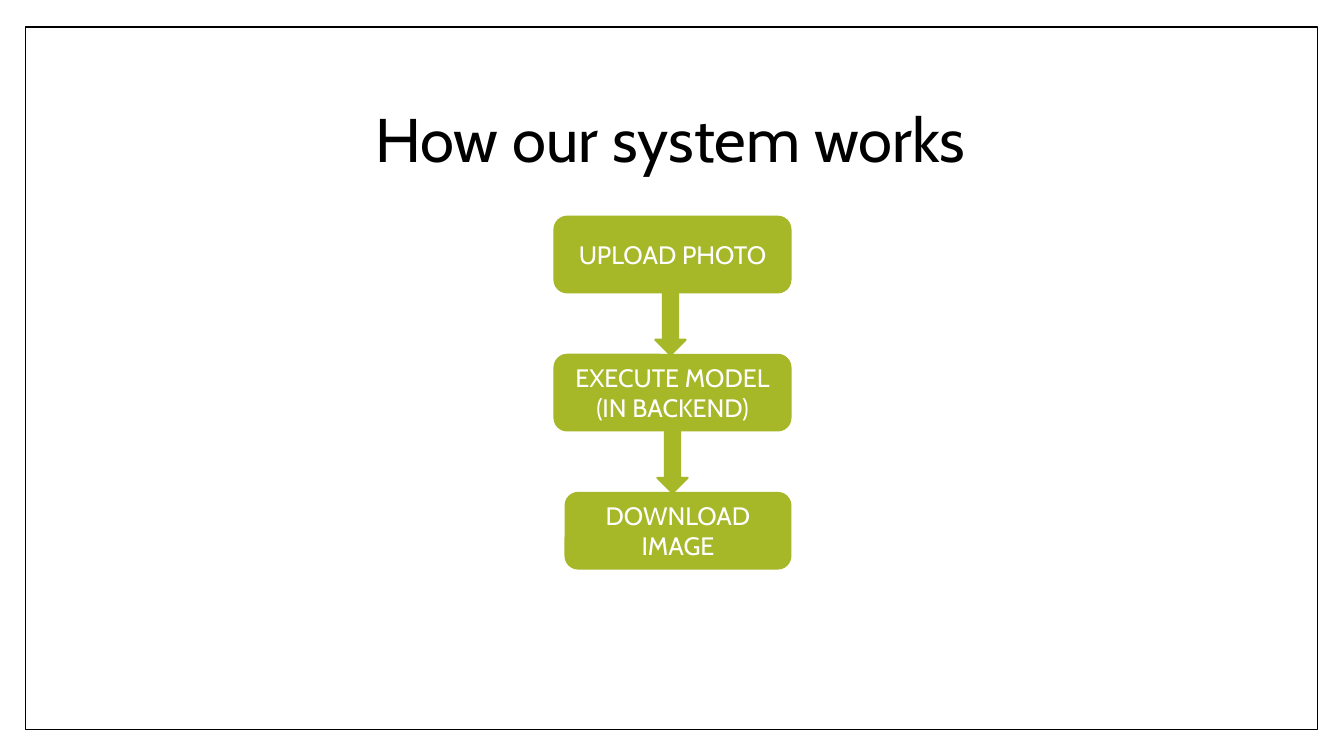
from dataclasses import dataclass

from pptx import Presentation
from pptx import util as u
from pptx.dml import color
from pptx.enum import shapes, text

COLOURS = {"paper": "FFFFFF", "ink": "000000", "step": "A6B727"}
FONT = "Cabin"
FIRST_TOP, STEP_HEIGHT, ARROW_HEIGHT = 2.15, 0.75, 0.62
ARROW_WIDTH = 0.3


@dataclass
class Step:
    left: float
    width: float
    lines: list[str]


STEPS = [
    Step(5.5, 2.34, ["UPLOAD PHOTO"]),
    Step(5.5, 2.34, ["EXECUTE MODEL", "(IN BACKEND)"]),
    Step(5.61, 2.23, ["DOWNLOAD IMAGE"]),
]
ARROW_LEFTS = [6.5, 6.52]


def rgb(name: str) -> color.RGBColor:
    return color.RGBColor.from_string(COLOURS[name])


def write(box, lines: list[str], size: float, colour: str, spacing: float = 1.0) -> None:
    """Fill a shape with centred lines, one paragraph each."""
    frame = box.text_frame
    frame_format = {
        "text": "\n".join(lines),
        "word_wrap": True,
        "auto_size": text.MSO_AUTO_SIZE.NONE,
        "vertical_anchor": text.MSO_ANCHOR.MIDDLE,
    }
    for name, value in frame_format.items():
        setattr(frame, name, value)
    for para in frame.paragraphs:
        para.alignment = text.PP_ALIGN.CENTER
        para.line_spacing = spacing
        for span in para.runs:
            for name, value in {"name": FONT, "size": u.Pt(size)}.items():
                setattr(span.font, name, value)
            span.font.color.rgb = rgb(colour)


def add_box(page, kind, left: float, top: float, width: float, height: float,
            fill: str, line: str, weight: float):
    box = page.shapes.add_shape(kind, *map(u.Inches, (left, top, width, height)))
    box.shadow.inherit = False
    box.fill.solid()
    box.fill.fore_color.rgb = rgb(fill)
    box.line.color.rgb = rgb(line)
    box.line.width = u.Pt(weight)
    return box


def main() -> None:
    deck = Presentation()
    deck.slide_width, deck.slide_height = u.Inches(13.33), u.Inches(7.5)
    page = deck.slides.add_slide(deck.slide_layouts[5])

    # Page border, placed behind the title
    border = add_box(page, shapes.MSO_SHAPE.RECTANGLE, 0.25, 0.27, 12.82, 6.97,
                     "paper", "ink", 1)
    title = page.shapes.title
    border._element.addnext(title._element)

    # Title
    place = {"left": 1.25, "top": 0.67, "width": 10.8, "height": 1.48}
    for name, value in place.items():
        setattr(title, name, u.Inches(value))
    write(title, ["How our system works"], 44, "ink", 0.9)

    # Steps, each followed by an arrow except the last
    for index, step in enumerate(STEPS):
        top = FIRST_TOP + index * (STEP_HEIGHT + ARROW_HEIGHT)
        box = add_box(page, shapes.MSO_SHAPE.ROUNDED_RECTANGLE, step.left, top,
                      step.width, STEP_HEIGHT, "step", "step", 1.5)
        write(box, step.lines, 18, "paper")
        if index < len(ARROW_LEFTS):
            add_box(page, shapes.MSO_SHAPE.DOWN_ARROW, ARROW_LEFTS[index],
                    top + STEP_HEIGHT, ARROW_WIDTH, ARROW_HEIGHT, "step", "step", 1.5)

    deck.save("out.pptx")


if __name__ == "__main__":
    main()
